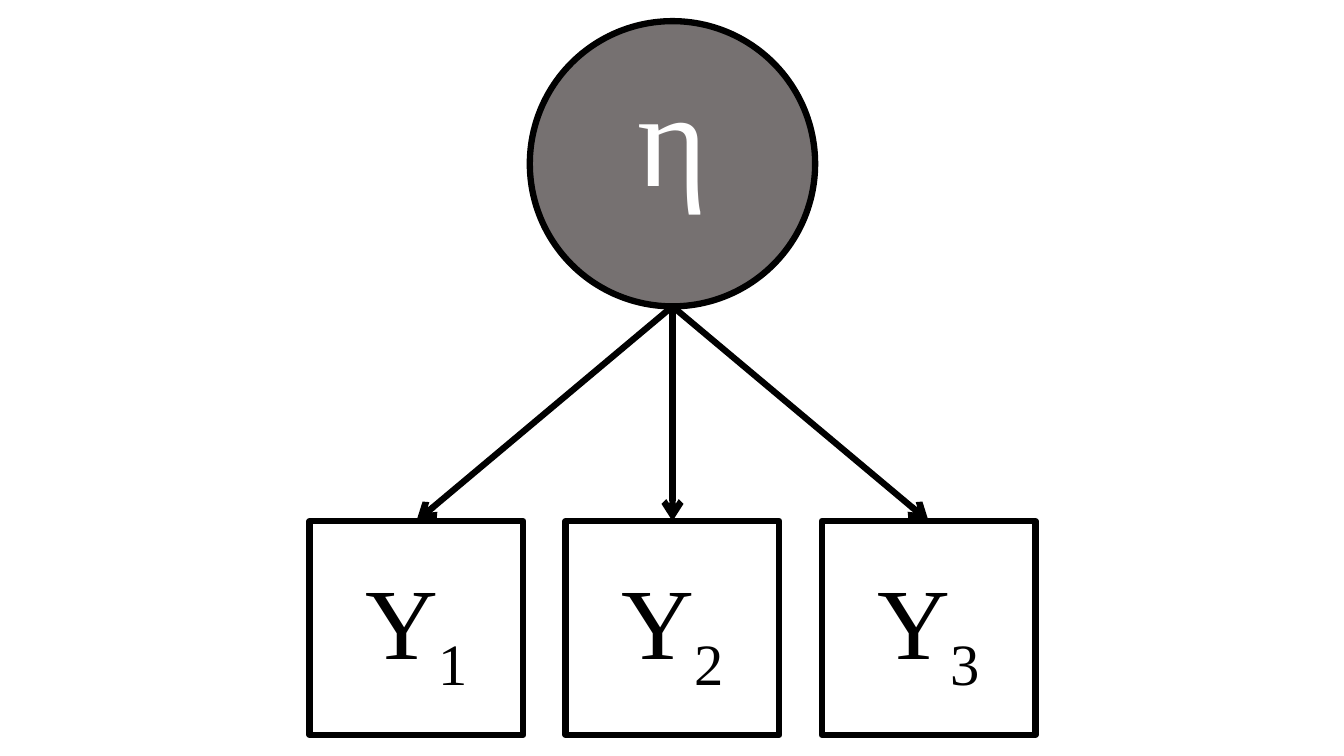
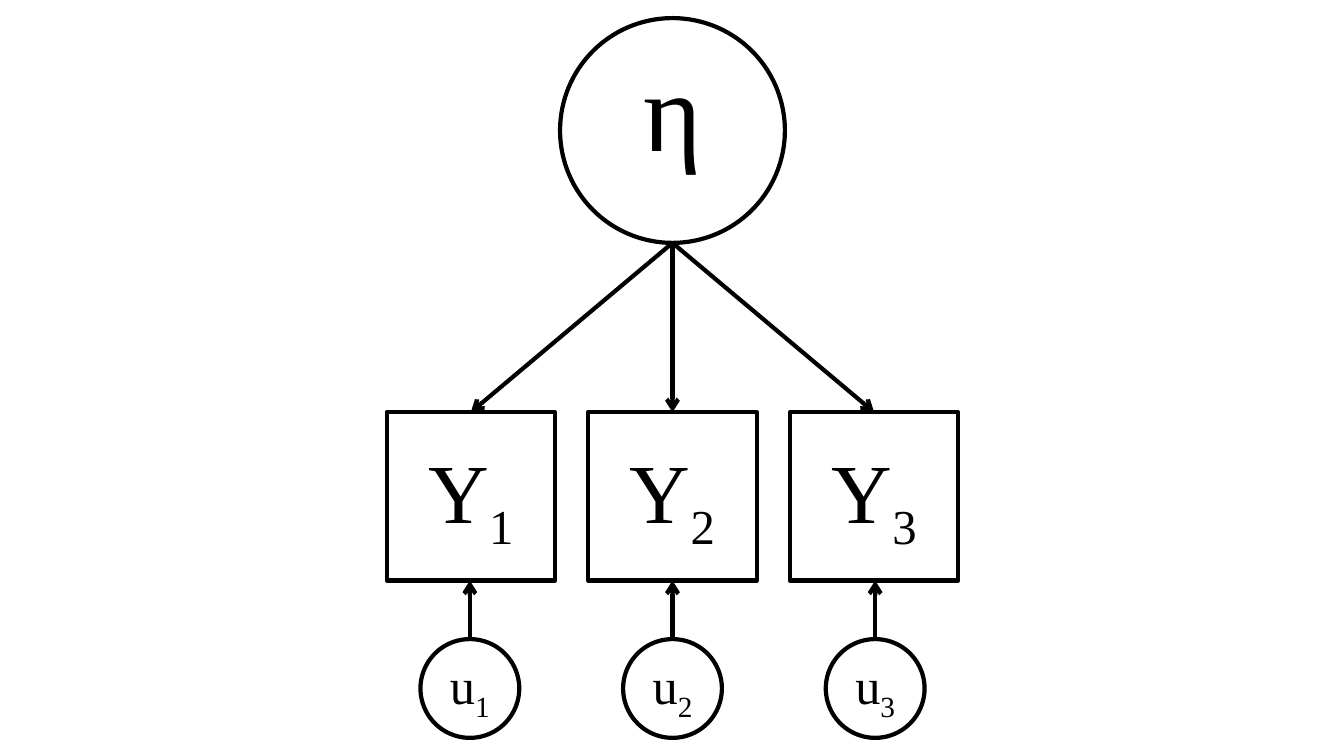
"""Build two path diagrams of a latent factor with three indicators."""
from dataclasses import dataclass

from lxml import etree
from pptx import Presentation
from pptx.dml.color import RGBColor
from pptx.enum.shapes import MSO_CONNECTOR, MSO_SHAPE
from pptx.enum.text import MSO_ANCHOR, PP_ALIGN
from pptx.oxml.ns import qn
from pptx.util import Inches, Pt

RECT = MSO_SHAPE.RECTANGLE
OVAL = MSO_SHAPE.OVAL
LINE = MSO_CONNECTOR.STRAIGHT
MIDDLE = MSO_ANCHOR.MIDDLE
CENTER = PP_ALIGN.CENTER


@dataclass(frozen=True)
class Theme:
    ink: RGBColor = RGBColor(0, 0, 0)
    paper: RGBColor = RGBColor(255, 255, 255)
    gray: RGBColor = RGBColor(0x76, 0x71, 0x71)
    font: str = "Times New Roman"
    error: int = 36
    big: tuple = (96, 72)
    small: tuple = (80, 60)


THEME = Theme()
MID = 6.67


def write(frame, parts, size, color):
    frame.vertical_anchor = MIDDLE
    para = frame.paragraphs[0]
    para.alignment = CENTER
    for index, part in enumerate(parts):
        run = para.add_run()
        run.text = part
        run.font.name = THEME.font
        run.font.size = Pt(size)
        run.font.color.rgb = color
        if index:
            run.font._element.set("baseline", "-25000")


def arrow(slide, start, end, weight):
    line = slide.shapes.add_connector(LINE, *map(Inches, start + end))
    line.line.color.rgb = THEME.ink
    line.line.width = Pt(weight)
    tail = etree.SubElement(line.line._get_or_add_ln(), qn("a:tailEnd"))
    tail.set("type", "arrow")
    etree.SubElement(line._element.spPr, qn("a:effectLst"))


prs = Presentation()
prs.slide_width = Inches(13.33)
prs.slide_height = Inches(7.5)

models = [
    dict(weight=4.5, fill=THEME.gray, color=THEME.paper, sizes=THEME.big,
         factor=(0.21, 2.83), items=(5.17, 2.12, 2.54),
         eta=(0.46, 0.97, 1.72), errors=None),
    dict(weight=3, fill=THEME.paper, color=THEME.ink, sizes=THEME.small,
         factor=(0.18, 2.23), items=(4.09, 1.67, 2),
         eta=(0.33, 0.77, 1.45), errors=(6.34, 0.98, 2.01)),
]

for model in models:
    slide = prs.slides.add_slide(prs.slide_layouts[6])
    weight = model["weight"]
    eta_size, item_size = model["sizes"]
    top, side = model["factor"]
    base = top + side
    row, box, step = model["items"]

    nodes = [(OVAL, MID, top, side, model["fill"], "", eta_size)]
    links = []
    for num in (1, 2, 3):
        mid = MID + (num - 2) * step
        nodes.append((RECT, mid, row, box, THEME.paper, f"Y{num}", item_size))
        links.append(((MID, base), (mid, row)))
        if model["errors"]:
            low, disc, gap = model["errors"]
            mid = MID + (num - 2) * gap
            nodes.append((OVAL, mid, low, disc, THEME.paper, f"u{num}", THEME.error))
            links.append(((mid, low), (mid, row + box)))

    for kind, mid, y, side, fill, label, size in nodes:
        node = slide.shapes.add_shape(
            kind, Inches(mid - side / 2), Inches(y), Inches(side), Inches(side))
        node.shadow.inherit = False
        node.fill.solid()
        node.fill.fore_color.rgb = fill
        node.line.color.rgb = THEME.ink
        node.line.width = Pt(weight)
        write(node.text_frame, label, size, THEME.ink)

    for start, end in links:
        arrow(slide, start, end, weight)

    y, width, height = model["eta"]
    eta = slide.shapes.add_textbox(
        Inches(MID - width / 2), Inches(y), Inches(width), Inches(height))
    eta.text_frame.word_wrap = False
    write(eta.text_frame, "η", eta_size, model["color"])

prs.save("out.pptx")
